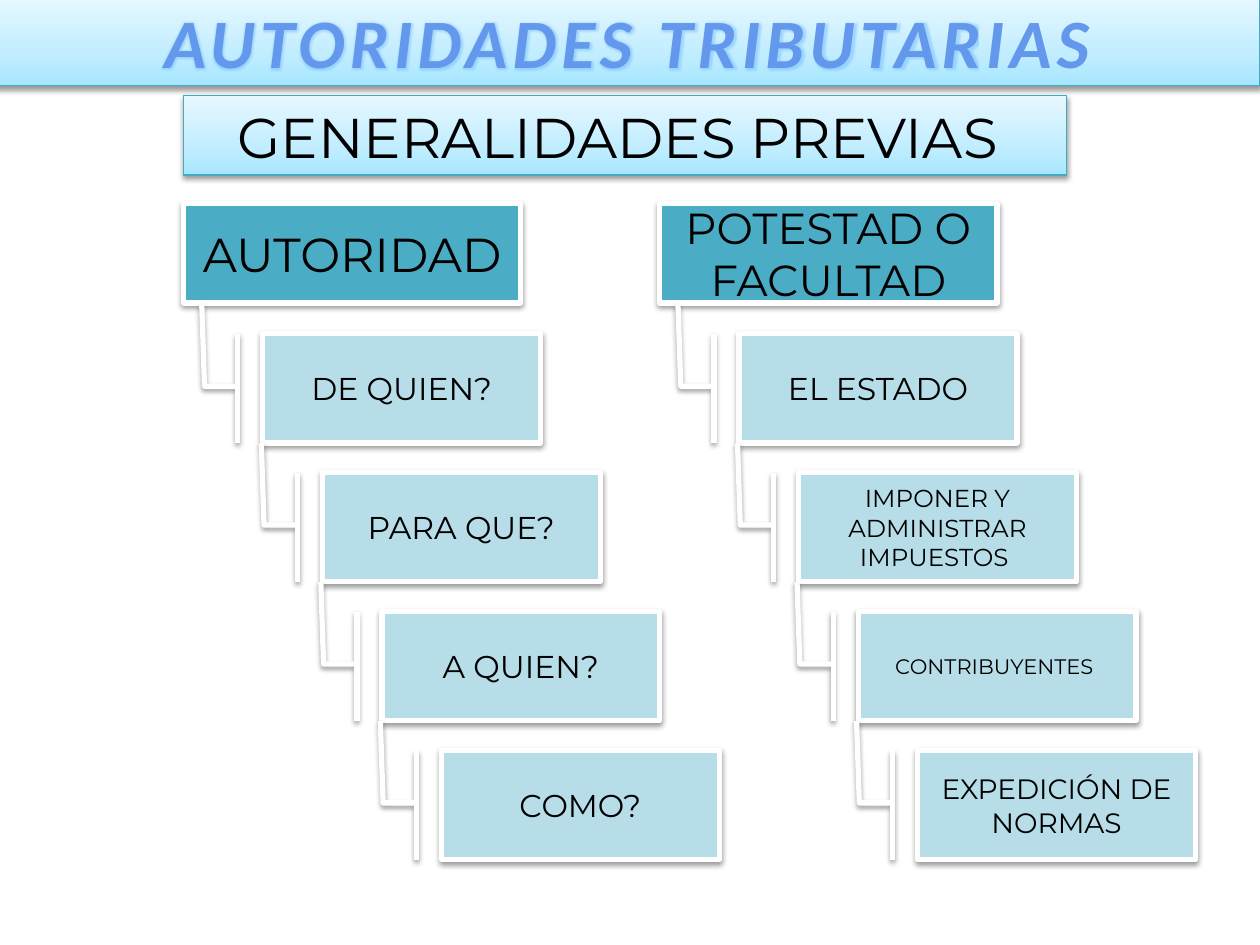
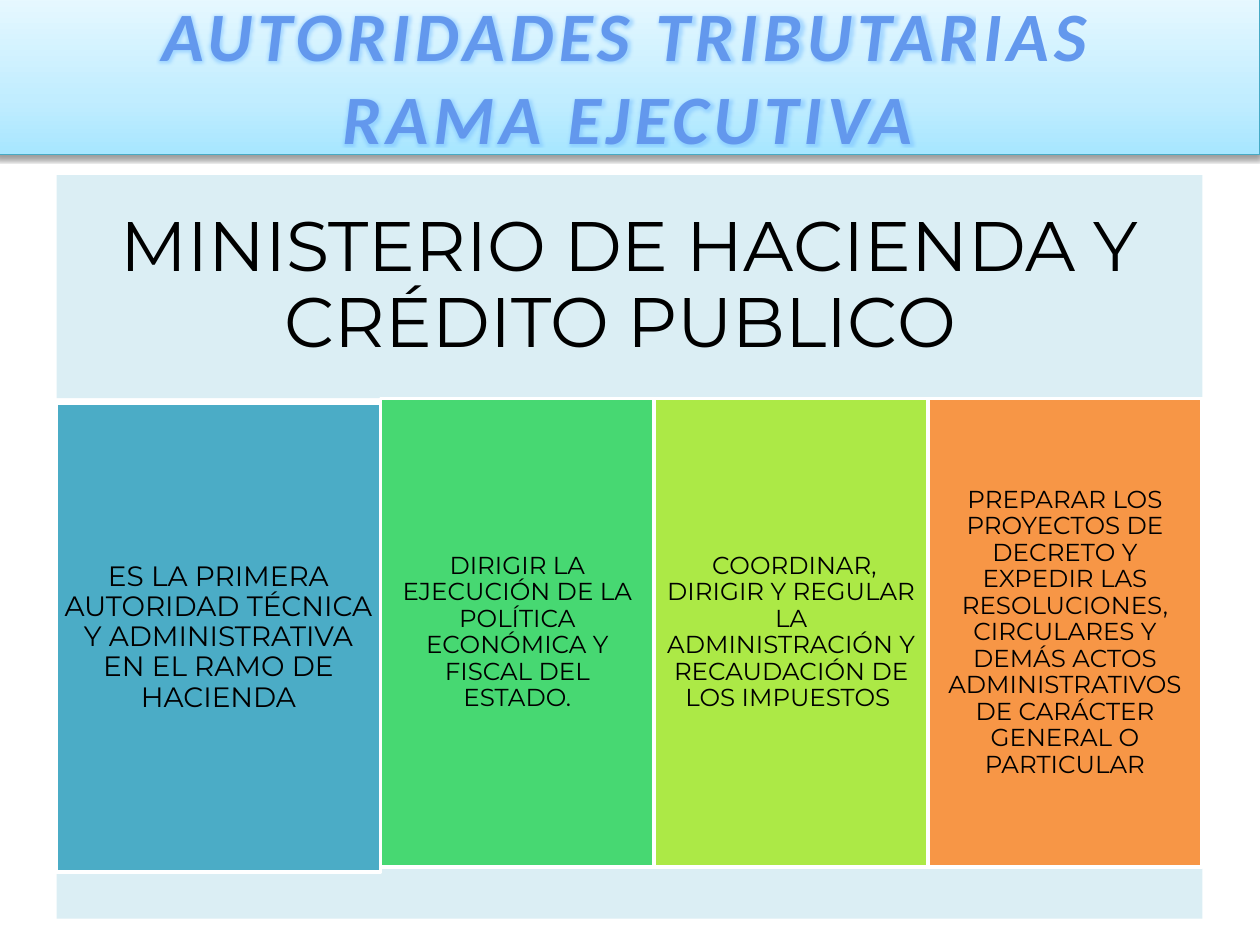
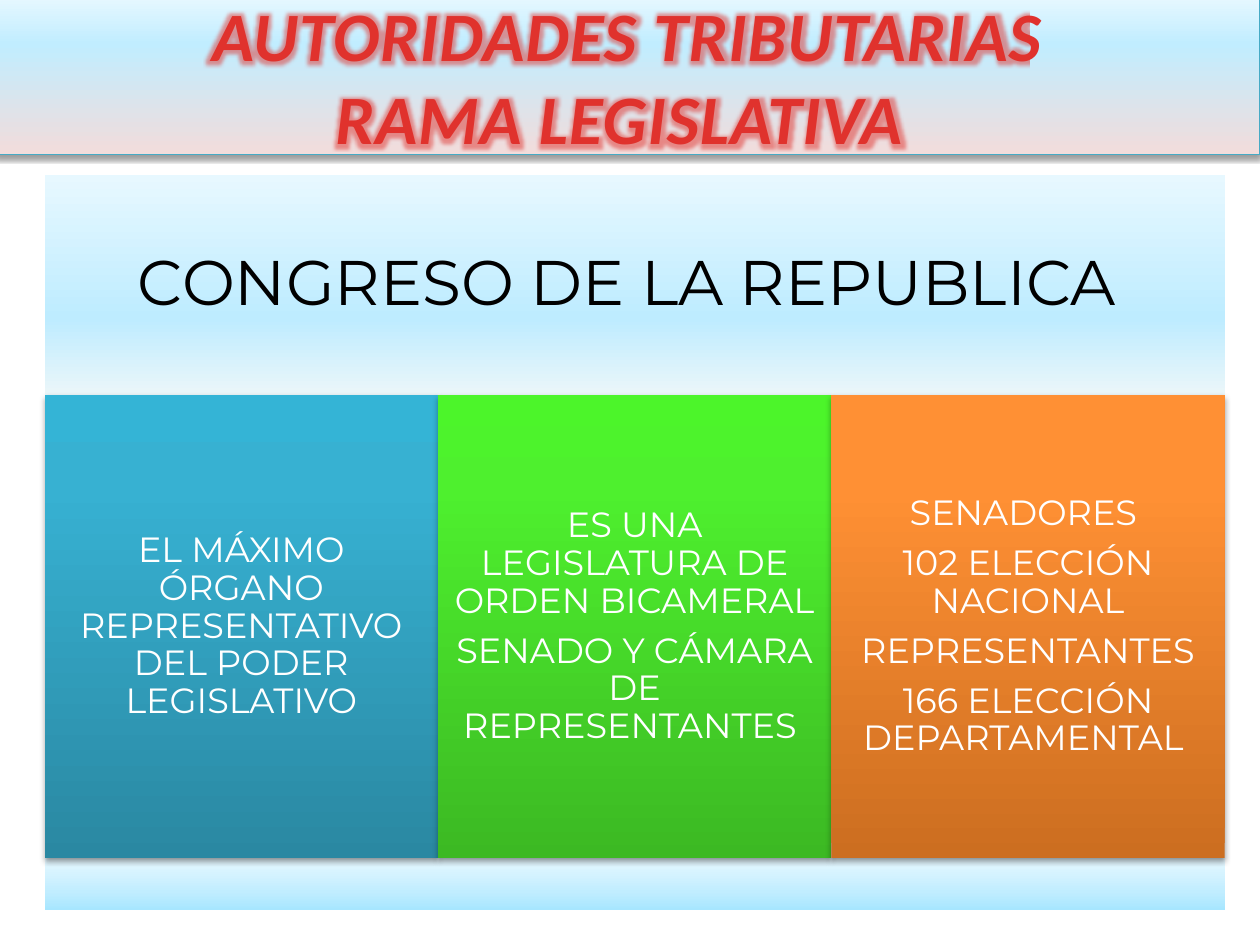
"""Build three slides on the tax authorities and their branches."""
from lxml.etree import SubElement
from pptx import Presentation
from pptx.dml.color import RGBColor
from pptx.enum.shapes import MSO_SHAPE
from pptx.enum.text import MSO_ANCHOR, MSO_AUTO_SIZE, PP_ALIGN
from pptx.oxml.ns import qn
from pptx.util import Cm, Pt

BLACK = RGBColor(0x00, 0x00, 0x00)
WHITE = RGBColor(0xFF, 0xFF, 0xFF)
TEAL = RGBColor(0x4B, 0xAC, 0xC6)
TEAL_LINE = RGBColor(0x46, 0xAA, 0xC5)
PALE_TEAL = RGBColor(0xB7, 0xDE, 0xE8)
PANEL = RGBColor(0xDB, 0xEE, 0xF4)
GREEN = RGBColor(0x47, 0xD8, 0x72)
LIME = RGBColor(0xAC, 0xE9, 0x46)
ORANGE = RGBColor(0xF7, 0x96, 0x46)
TITLE_BLUE = RGBColor(0x63, 0x98, 0xED)
TITLE_RED = RGBColor(0xE0, 0x32, 0x2D)
GLOW_BLUE = RGBColor(0x75, 0xBD, 0xFF)

SKY = RGBColor(0xC1, 0xED, 0xFF)
ICE = RGBColor(0xE7, 0xF8, 0xFF)
BLUE_BAND = [(0, RGBColor(0xA7, 0xE6, 0xFF)), (35, SKY), (100, ICE)]
RED_BAND = [(0, RGBColor(0xF2, 0xDC, 0xDB)), (70, SKY), (100, ICE)]
PALE_BAND = [(0, RGBColor(0xEB, 0xF6, 0xF9)), (35, RGBColor(0xBE, 0xEC, 0xFF)), (100, ICE)]
TEAL_FADE = [(0, RGBColor(0x2A, 0x88, 0xA2)), (80, RGBColor(0x37, 0xB1, 0xD2)),
             (100, RGBColor(0x34, 0xB4, 0xD6))]
GREEN_FADE = [(0, RGBColor(0x3C, 0xB9, 0x23)), (80, RGBColor(0x4E, 0xF0, 0x2E)),
              (100, RGBColor(0x4C, 0xF5, 0x2A))]
ORANGE_FADE = [(0, RGBColor(0xCC, 0x6E, 0x20)), (80, RGBColor(0xFF, 0x90, 0x34)),
               (100, RGBColor(0xFF, 0x91, 0x36))]


def paint(s, fill, line=None, width=0.75, shadow=False):
    """Fill with one colour or a bottom-to-top list of stops, then set line and shadow."""
    if isinstance(fill, list):
        s.fill.gradient()
        s.fill.gradient_angle = 90
        stops = s._element.spPr.find(qn("a:gradFill")).find(qn("a:gsLst"))
        for old in list(stops):
            stops.remove(old)
        for pos, color in fill:
            stop = SubElement(stops, qn("a:gs"), pos=str(pos * 1000))
            SubElement(stop, qn("a:srgbClr"), val=str(color))
    else:
        s.fill.solid()
        s.fill.fore_color.rgb = fill
    if line is None:
        s.line.fill.background()
    else:
        s.line.color.rgb = line
        s.line.width = Pt(width)
    s.shadow.inherit = False
    if shadow:
        effects = s._element.spPr.find(qn("a:effectLst"))
        outer = SubElement(effects, qn("a:outerShdw"), blurRad="40000", dist="20000",
                           dir="5400000", rotWithShape="0")
        black = SubElement(outer, qn("a:srgbClr"), val=str(BLACK))
        SubElement(black, qn("a:alpha"), val="38000")


def write(s, text, size, color=BLACK, font="Montserrat", inset=None, spacing=None):
    """Set centred text; an inset gives equal margins, a spacing adds paragraph gaps."""
    tf = s.text_frame
    tf.text = text
    tf.word_wrap = True
    tf.auto_size = MSO_AUTO_SIZE.NONE
    tf.vertical_anchor = MSO_ANCHOR.MIDDLE
    if inset is not None:
        tf.margin_left = tf.margin_right = tf.margin_top = tf.margin_bottom = Cm(inset)
    for p in tf.paragraphs:
        p.alignment = PP_ALIGN.CENTER
        if spacing:
            p.line_spacing = spacing
            p.space_after = Pt(size * 0.35)
        for r in p.runs:
            r.font.name = font
            r.font.size = Pt(size)
            r.font.color.rgb = color


prs = Presentation()
prs.slide_width, prs.slide_height = Cm(25.4), Cm(19.05)

titles = [
    (0, "AUTORIDADES TRIBUTARIAS", 1.8, BLUE_BAND, TITLE_BLUE, GLOW_BLUE, 300, 45000),
    (5, "AUTORIDADES TRIBUTARIAS\vRAMA EJECUTIVA", 3.2, BLUE_BAND, TITLE_BLUE, GLOW_BLUE, 300, 45000),
    (5, "AUTORIDADES TRIBUTARIAS\vRAMA LEGISLATIVA ", 3.2, RED_BAND, TITLE_RED, TITLE_RED, 50, 100000),
]
slides = []
for layout, text, height, band, color, glow_color, spacing, radius in titles:
    slide = prs.slides.add_slide(prs.slide_layouts[layout])
    slides.append(slide)
    s = slide.shapes.title
    s.left, s.top, s.width, s.height = Cm(-0.1), Cm(-0.08), Cm(25.5), Cm(height)
    paint(s, band, TEAL_LINE, shadow=True)
    write(s, text, 39.6, color, "Calibri")
    for r in s.text_frame.paragraphs[0].runs:
        r.font.bold = r.font.italic = True
        rPr = r._r.get_or_add_rPr()
        rPr.set("spc", str(spacing))
        effects = SubElement(rPr, qn("a:effectLst"))
        rPr.find(qn("a:solidFill")).addnext(effects)
        glow = SubElement(effects, qn("a:glow"), rad=str(radius))
        tint = SubElement(glow, qn("a:srgbClr"), val=str(glow_color))
        SubElement(tint, qn("a:alpha"), val="50000")

general, executive, legislative = slides

s = general.placeholders[1]
s.left, s.top, s.width, s.height = Cm(3.7), Cm(1.93), Cm(17.8), Cm(1.6)
paint(s, BLUE_BAND, TEAL_LINE, shadow=True)
write(s, "GENERALIDADES PREVIAS ", 32)
s.text_frame.vertical_anchor = MSO_ANCHOR.TOP

branches = [
    (3.7, "AUTORIDAD", 27.2,
     [("DE QUIEN?", 18), ("PARA QUE?", 18), ("A QUIEN?", 18), ("COMO?", 18)]),
    (13.3, "POTESTAD O FACULTAD", 24.8,
     [("EL ESTADO", 18), ("IMPONER Y ADMINISTRAR IMPUESTOS ", 14),
      ("CONTRIBUYENTES ", 12), ("EXPEDICIÓN DE NORMAS", 16)]),
]
for left, heading, heading_size, steps in branches:
    s = general.shapes.add_shape(MSO_SHAPE.RECTANGLE, Cm(left), Cm(4.11), Cm(6.8), Cm(2))
    paint(s, TEAL, WHITE, 3, shadow=True)
    write(s, heading, heading_size)
    for i, (text, size) in enumerate(steps):
        s = general.shapes.add_shape(MSO_SHAPE.LINE_CALLOUT_2_BORDER_AND_ACCENT_BAR,
                                     Cm(left + 1.6 + 1.2 * i), Cm(6.73 + 2.8 * i), Cm(5.6), Cm(2.2))
        for j, value in enumerate([0.48, -0.09, 0.48, -0.21, -0.27, -0.22]):
            s.adjustments[j] = value
        paint(s, PALE_TEAL, WHITE, 3, shadow=True)
        write(s, text, size)

panels = [
    (executive, 1.14, 3.53, 23.1, 4.5, PANEL, "MINISTERIO DE HACIENDA Y CRÉDITO PUBLICO ", 40, 0.43),
    (executive, 1.14, 17.48, 23.1, 1.04, PANEL, "", 0, 0),
    (legislative, 0.9, 3.53, 23.8, 4.44, PALE_BAND, "CONGRESO DE LA REPUBLICA ", 36, 0.38),
    (legislative, 0.9, 17.3, 23.8, 1.04, BLUE_BAND, "", 0, 0),
]
for slide, left, top, width, height, fill, text, size, inset in panels:
    s = slide.shapes.add_shape(MSO_SHAPE.RECTANGLE, Cm(left), Cm(top), Cm(width), Cm(height))
    paint(s, fill)
    if text:
        write(s, text, size, inset=inset, spacing=0.9)

duties = [
    (8.13, 6.53, TEAL, 16, "ES LA PRIMERA AUTORIDAD TÉCNICA Y ADMINISTRATIVA EN EL RAMO DE HACIENDA"),
    (8.03, 5.52, GREEN, 14, "DIRIGIR LA EJECUCIÓN DE LA POLÍTICA ECONÓMICA Y FISCAL DEL ESTADO."),
    (8.03, 5.52, LIME, 14, " COORDINAR, DIRIGIR Y REGULAR LA ADMINISTRACIÓN Y RECAUDACIÓN DE LOS IMPUESTOS "),
    (8.03, 5.52, ORANGE, 14, "PREPARAR LOS PROYECTOS DE DECRETO Y EXPEDIR LAS RESOLUCIONES, CIRCULARES "
     "Y DEMÁS ACTOS ADMINISTRATIVOS DE CARÁCTER GENERAL O PARTICULAR"),
]
left = 1.14
for top, width, fill, size, text in duties:
    s = executive.shapes.add_shape(MSO_SHAPE.RECTANGLE, Cm(left), Cm(top), Cm(width), Cm(9.45))
    paint(s, fill, WHITE, 2)
    write(s, text, size, inset=0.16, spacing=0.9)
    left += width

chambers = [
    (TEAL_FADE, "EL MÁXIMO ÓRGANO REPRESENTATIVO DEL PODER LEGISLATIVO"),
    (GREEN_FADE, "ES UNA LEGISLATURA DE ORDEN BICAMERAL\nSENADO Y CÁMARA DE REPRESENTANTES "),
    (ORANGE_FADE, "SENADORES \n102 ELECCIÓN NACIONAL\nREPRESENTANTES\n166 ELECCIÓN DEPARTAMENTAL "),
]
for i, (fill, text) in enumerate(chambers):
    s = legislative.shapes.add_shape(MSO_SHAPE.RECTANGLE, Cm(0.9 + 7.93 * i), Cm(7.97), Cm(7.93), Cm(9.33))
    paint(s, fill, shadow=True)
    write(s, text, 20, WHITE, inset=0.2, spacing=0.9)

prs.save("out.pptx")
